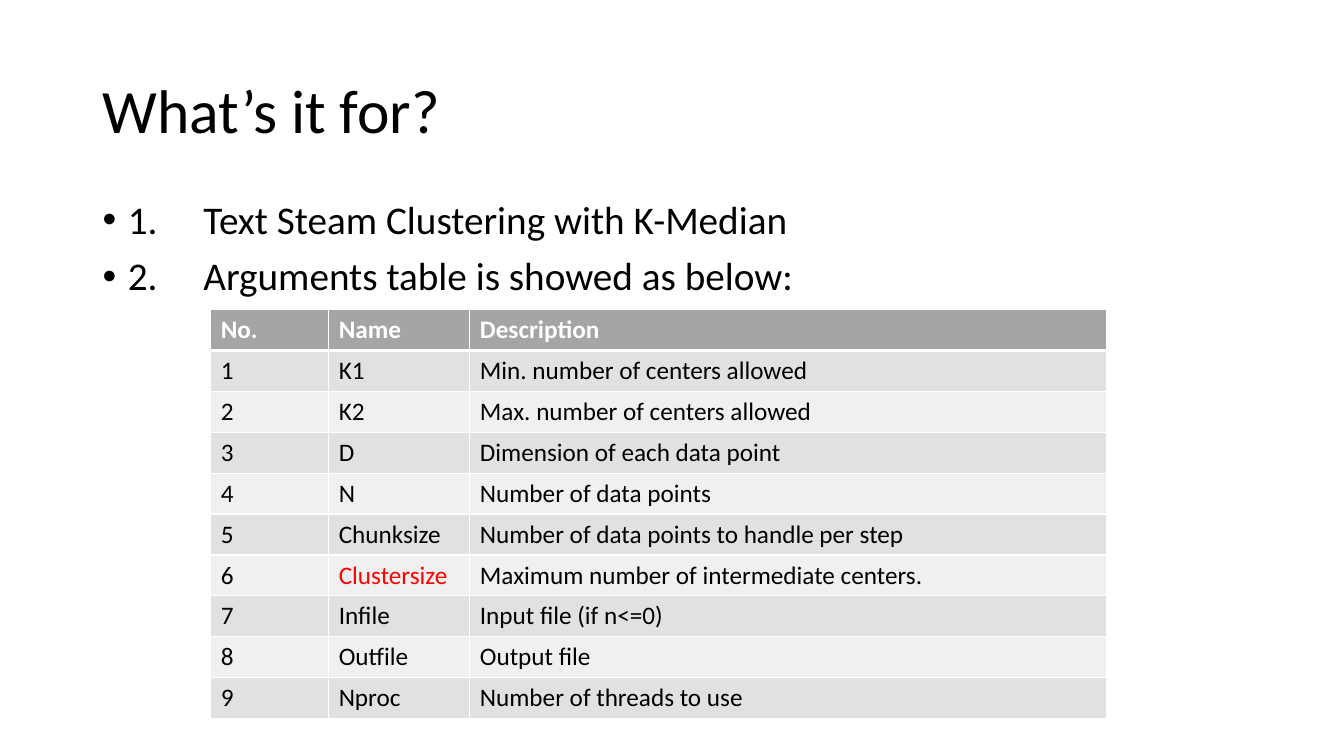
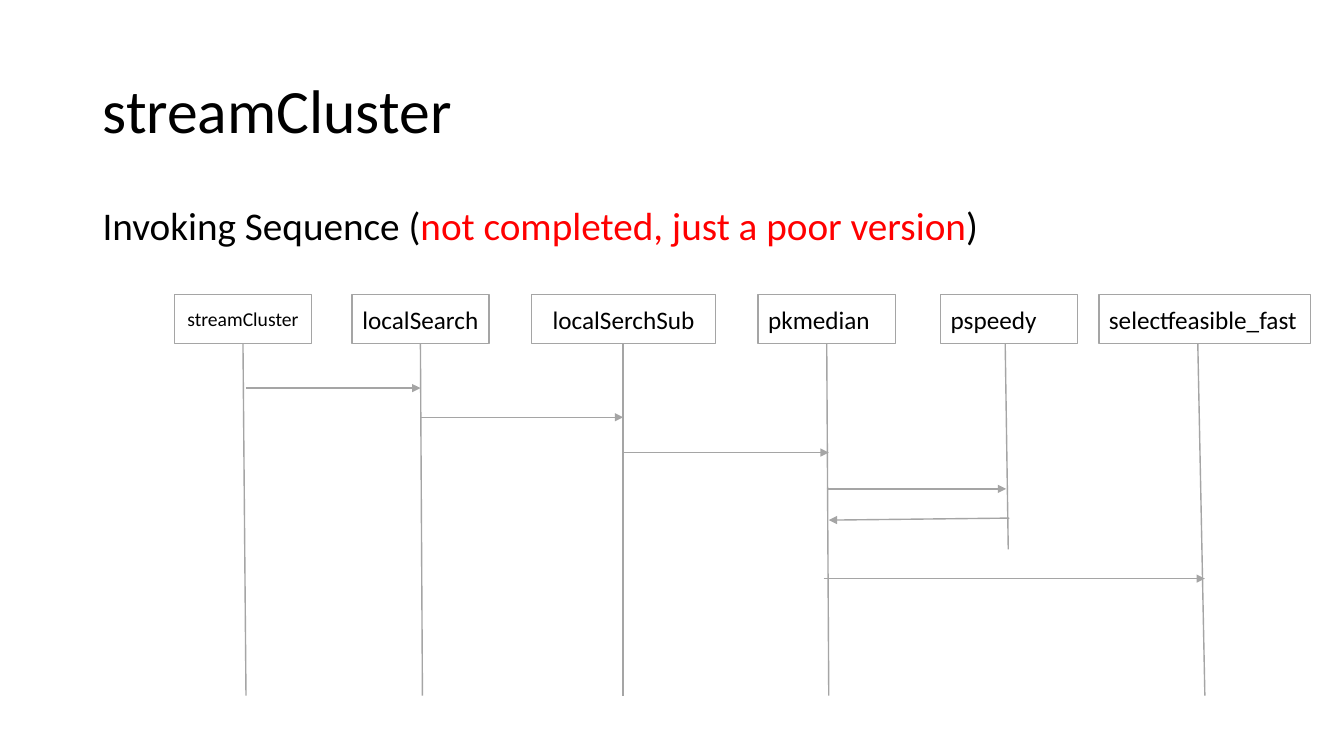
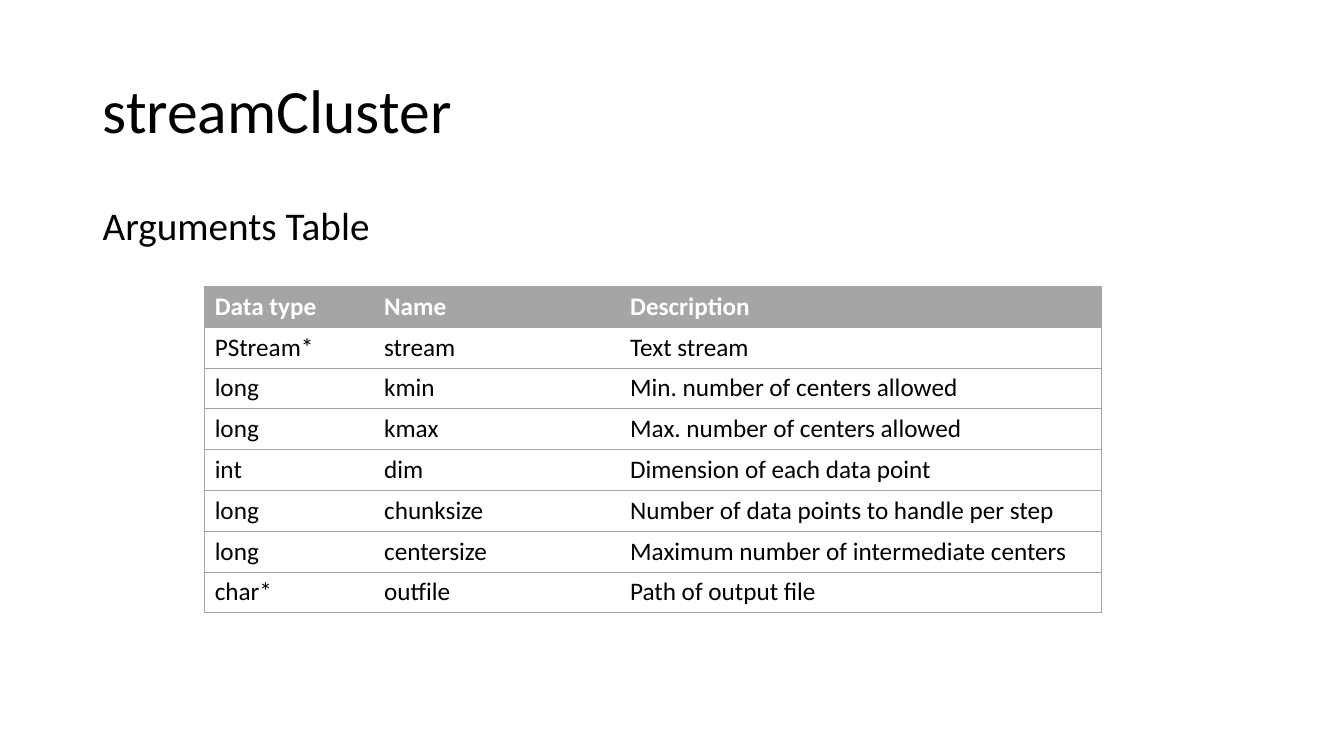
from pptx import Presentation
from pptx.dml.color import RGBColor
from pptx.enum import shapes as shp, text as txt
from pptx.oxml import ns
from pptx.util import Inches, Pt
from lxml import etree


class Theme:
    font = "Calibri"
    black, white, red = "000000", "FFFFFF", "FF0000"
    grey, dark, light = "A5A5A5", "E1E1E1", "F0F0F0"
    title, body, cell, small = 44, 28, 18, 14


LEFT, MID = txt.PP_ALIGN.LEFT, txt.PP_ALIGN.CENTER

# Content: slide 1
USES = ["1.\tText Steam Clustering with K-Median",
        "2.\tArguments table is showed as below:"]
OPTIONS = [
    ("No.", "Name", "Description"),
    ("1", "K1", "Min. number of centers allowed"),
    ("2", "K2", "Max. number of centers allowed"),
    ("3", "D", "Dimension of each data point"),
    ("4", "N", "Number of data points"),
    ("5", "Chunksize", "Number of data points to handle per step"),
    ("6", "Clustersize", "Maximum number of intermediate centers."),
    ("7", "Infile", "Input file (if n<=0)"),
    ("8", "Outfile", "Output file"),
    ("9", "Nproc", "Number of threads to use"),
]

# Content: slide 2
SEQUENCE = [("Invoking Sequence (", Theme.black),
            ("not completed, just a poor version", Theme.red),
            (")", Theme.black)]
BOX_TOP, BOX_H, FOOT = 2.92, 0.49, 6.9
ACTORS = [  # name, left, width, lifeline from x, to x, to y, size, align
    ("streamCluster", 1.73, 1.36, 2.41, 2.44, FOOT, Theme.small, MID),
    ("localSearch", 3.49, 1.36, 4.17, 4.19, FOOT, Theme.cell, MID),
    ("localSerchSub", 5.27, 1.83, 6.18, 6.18, FOOT, Theme.cell, MID),
    ("pkmedian", 7.52, 1.36, 8.2, 8.22, FOOT, Theme.cell, LEFT),
    ("pspeedy", 9.33, 1.36, 9.97, 10, 5.45, Theme.cell, LEFT),
    ("selectfeasible_fast", 10.9, 2.1, 11.88, 11.95, FOOT, Theme.cell, LEFT),
]
CALLS = [  # from x, y, to x, y
    (2.44, 3.85, 4.17, 3.85),
    (4.18, 4.14, 6.18, 4.14),
    (6.18, 4.49, 8.22, 4.49),
    (8.2, 4.85, 9.98, 4.85),
    (10.01, 5.14, 8.22, 5.16),
    (8.17, 5.74, 11.95, 5.74),
]

# Content: slide 3
PARAMS = [
    ("Data type", "Name", "Description"),
    ("PStream*", "stream", "Text stream"),
    ("long", "kmin", "Min. number of centers allowed"),
    ("long", "kmax", "Max. number of centers allowed"),
    ("int", "dim", "Dimension of each data point"),
    ("long", "chunksize", "Number of data points to handle per step"),
    ("long", "centersize", "Maximum number of intermediate centers"),
    ("char*", "outfile", "Path of output file"),
]


# Helpers
def rgb(code):
    return RGBColor.from_string(code)


def sub(node, tag, **attrs):
    return etree.SubElement(node, ns.qn(tag), attrs)


def style(run, size, color=Theme.black, bold=False):
    font = run.font
    font.name, font.size, font.bold = Theme.font, Pt(size), bold
    font.color.rgb = rgb(color)


def add_text(slide, top, height, paras, size, before=0, anchor=txt.MSO_ANCHOR.TOP):
    """Each paragraph is a list of (text, color) runs."""
    box = slide.shapes.add_textbox(Inches(0.92), Inches(top), Inches(11.5), Inches(height))
    frame = box.text_frame
    frame.word_wrap, frame.vertical_anchor = True, anchor
    for i, runs in enumerate(paras):
        para = frame.add_paragraph() if i else frame.paragraphs[0]
        para.line_spacing, para.space_before = 0.9, Pt(before)
        for words, color in runs:
            run = para.add_run()
            run.text = words
            style(run, size, color)
    return frame


def add_bullets(frame):
    for para in frame.paragraphs:
        props = para._p.get_or_add_pPr()
        props.set("marL", str(Inches(0.25)))
        props.set("indent", str(-Inches(0.25)))
        props.set("defTabSz", str(Inches(1)))
        sub(props, "a:buFont", typeface="Arial")
        sub(props, "a:buChar", char="•")


def add_line(slide, x1, y1, x2, y2, arrow=False):
    line = slide.shapes.add_connector(
        shp.MSO_CONNECTOR.STRAIGHT, Inches(x1), Inches(y1), Inches(x2), Inches(y2))
    line.line.color.rgb, line.line.width = rgb(Theme.grey), Pt(1)
    if arrow:
        sub(line.line._get_or_add_ln(), "a:tailEnd", type="triangle")
    sub(line._element.spPr, "a:effectLst")


def add_actor(slide, name, left, width, size, align):
    box = slide.shapes.add_shape(
        shp.MSO_SHAPE.RECTANGLE, Inches(left), Inches(BOX_TOP), Inches(width), Inches(BOX_H))
    box.shadow.inherit = False
    box.fill.solid()
    box.fill.fore_color.rgb = rgb(Theme.white)
    box.line.color.rgb, box.line.width = rgb(Theme.grey), Pt(1)
    frame = box.text_frame
    frame.text, frame.vertical_anchor = name, txt.MSO_ANCHOR.MIDDLE
    frame.paragraphs[0].alignment = align
    style(frame.paragraphs[0].runs[0], size)


def set_edges(cell, edges):
    """Edges maps L, R, T, B to (color, points), or None for no line."""
    props = cell._tc.get_or_add_tcPr()
    for i, side in enumerate("LRTB"):
        edge = edges[side]
        line = etree.Element(ns.qn("a:ln" + side), w=str(Pt(edge[1] if edge else 0)))
        if edge:
            sub(sub(line, "a:solidFill"), "a:srgbClr", val=edge[0])
        else:
            sub(line, "a:noFill")
        props.insert(i, line)


def add_grid(slide, left, top, height, widths, rows, bands, edges, marked=()):
    table = slide.shapes.add_table(
        len(rows), len(widths), Inches(left), Inches(top),
        Inches(sum(widths)), Inches(height)).table
    table.first_row = table.horz_banding = False
    for col, width in zip(table.columns, widths):
        col.width = Inches(width)
    for r, row in enumerate(rows):
        for c, words in enumerate(row):
            cell = table.cell(r, c)
            cell.text = words
            cell.fill.solid()
            cell.fill.fore_color.rgb = rgb(bands[(r - 1) % len(bands)] if r else Theme.grey)
            color = Theme.red if words in marked else Theme.black
            style(cell.text_frame.paragraphs[0].runs[0], Theme.cell,
                  color if r else Theme.white, not r)
            set_edges(cell, edges(r, c))


def white_edges(r, c):
    thin, thick = (Theme.white, 1), (Theme.white, 3)
    return {"L": thin, "R": thin, "T": thick if r == 1 else thin,
            "B": thin if r else thick}


def grey_edges(r, c):
    thin = (Theme.grey, 0.5)
    return {"L": None if c else thin, "R": thin if c == 2 else None, "T": thin, "B": thin}


def add_page(deck, title):
    slide = deck.slides.add_slide(deck.slide_layouts[6])
    add_text(slide, 0.4, 1.45, [[(title, Theme.black)]], Theme.title,
             anchor=txt.MSO_ANCHOR.MIDDLE)
    return slide


def main():
    deck = Presentation()
    deck.slide_width, deck.slide_height = Inches(13.33), Inches(7.5)

    # Purpose and arguments
    slide = add_page(deck, "What’s it for?")
    add_bullets(add_text(slide, 1.94, 4.76, [[(use, Theme.black)] for use in USES],
                         Theme.body, 10))
    add_grid(slide, 2.09, 3.07, 4.06, (1.17, 1.4, 6.32), OPTIONS,
             (Theme.dark, Theme.light), white_edges, ("Clustersize",))

    # Sequence diagram
    slide = add_page(deck, "streamCluster")
    add_text(slide, 2, 4.76, [SEQUENCE], Theme.body, 10)
    for name, left, width, x1, x2, foot, size, align in ACTORS:
        add_actor(slide, name, left, width, size, align)
        add_line(slide, x1, BOX_TOP + BOX_H, x2, foot)
    for call in CALLS:
        add_line(slide, *call, arrow=True)

    # Function parameters
    slide = add_page(deck, "streamCluster")
    add_text(slide, 2, 4.76, [[("Arguments Table", Theme.black)]], Theme.body, 10)
    add_grid(slide, 2.03, 2.84, 3.24, (1.68, 2.44, 4.77), PARAMS,
             (Theme.white,), grey_edges)

    deck.save("out.pptx")


if __name__ == "__main__":
    main()
